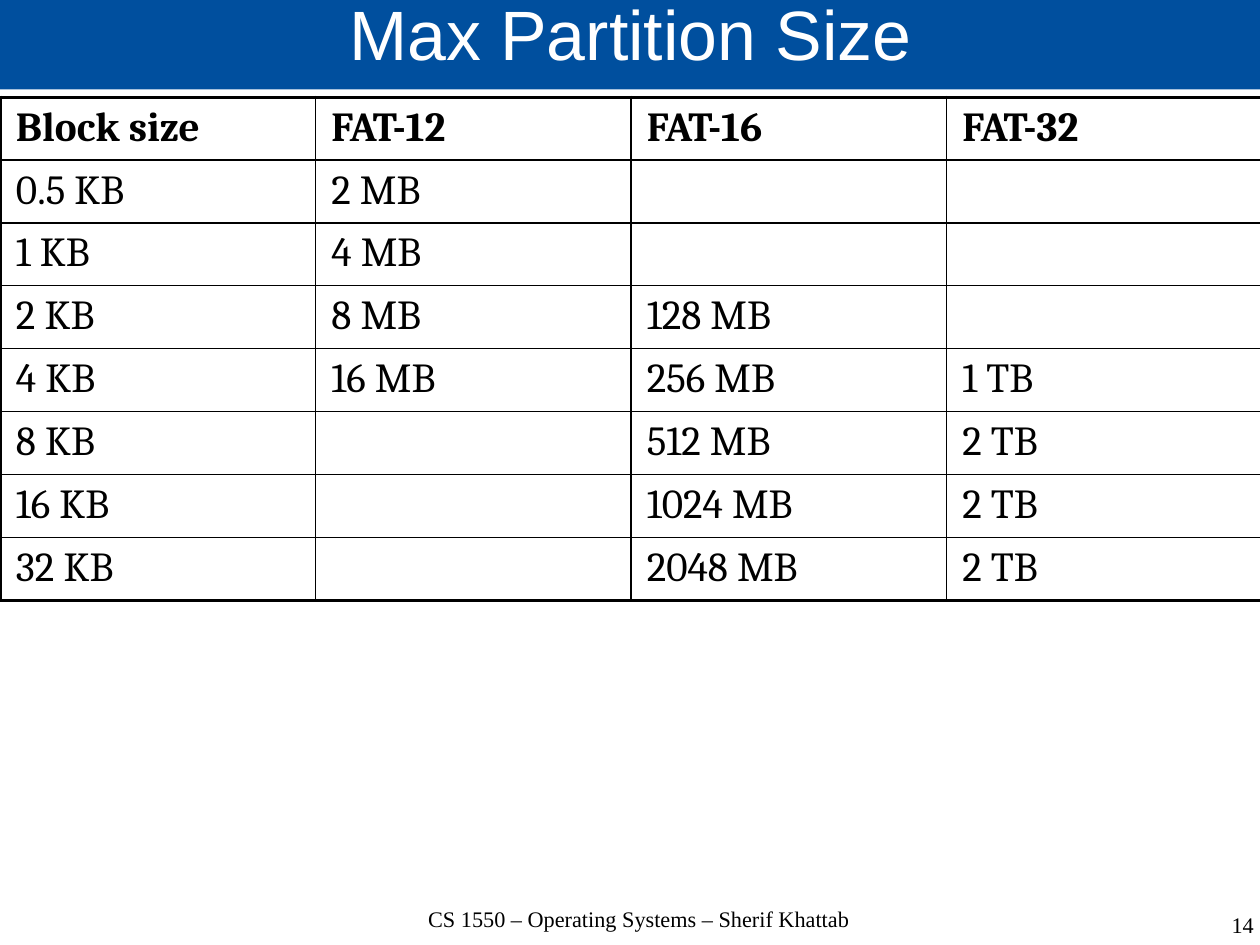
from dataclasses import dataclass

from lxml import etree
from pptx import Presentation
from pptx.dml.color import RGBColor
from pptx.enum.shapes import MSO_SHAPE
from pptx.enum.text import MSO_ANCHOR, PP_ALIGN
from pptx.oxml.ns import qn
from pptx.util import Cm, Inches, Pt

RECTANGLE = MSO_SHAPE.RECTANGLE
TOP, MIDDLE = MSO_ANCHOR.TOP, MSO_ANCHOR.MIDDLE
LEFT, CENTER, RIGHT = PP_ALIGN.LEFT, PP_ALIGN.CENTER, PP_ALIGN.RIGHT

BLUE = RGBColor(0x00, 0x4F, 0x9E)
WHITE = RGBColor(0xFF, 0xFF, 0xFF)
BLACK = RGBColor(0x00, 0x00, 0x00)

PAGE_WIDTH, PAGE_HEIGHT = Cm(28), Cm(21)
TABLE_TOP, COLUMN_WIDTH, ROW_HEIGHT = Inches(0.85), Inches(2.76), Inches(0.55)
OUTER_LINE, INNER_LINE = Pt(2.25), Pt(1)

PARTITION_SIZES = [
    ("Block size", "FAT-12", "FAT-16", "FAT-32"),
    ("0.5 KB", "2 MB", "", ""),
    ("1 KB", "4 MB", "", ""),
    ("2 KB", "8 MB", "128 MB", ""),
    ("4 KB", "16 MB", "256 MB", "1 TB"),
    ("8 KB", "", "512 MB", "2 TB"),
    ("16 KB", "", "1024 MB", "2 TB"),
    ("32 KB", "", "2048 MB", "2 TB"),
]


@dataclass(frozen=True)
class TextStyle:
    font: str
    size: float
    color: RGBColor = BLACK
    align: PP_ALIGN = LEFT
    spacing: float = 1.0
    bold: bool = False


@dataclass(frozen=True)
class Label:
    """A text block; its position and size are shares of the slide."""
    text: str
    left: float
    top: float
    width: float
    height: float
    style: TextStyle
    anchor: MSO_ANCHOR = TOP
    fill: RGBColor | None = None


LABELS = [
    Label("Max Partition Size", 0, -0.0024, 1.0015, 0.097,
          TextStyle("Arial", 44, WHITE, CENTER, 0.69), MIDDLE, BLUE),
    Label("CS 1550 – Operating Systems – Sherif Khattab", 0.2785, 0.96, 0.4572, 0.04,
          TextStyle("Times New Roman", 14, align=CENTER, spacing=0.96)),
    Label("14", 0.7656, 0.966, 0.2295, 0.034,
          TextStyle("Times New Roman", 14, align=RIGHT, spacing=0.96)),
]


def write(para, text: str, style: TextStyle) -> None:
    para.text = text
    para.alignment = style.align
    para.line_spacing = style.spacing
    para.font.name = style.font
    para.font.size = Pt(style.size)
    para.font.bold = style.bold
    para.font.color.rgb = style.color


def add_label(page, label: Label) -> None:
    bounds = (round(PAGE_WIDTH * label.left), round(PAGE_HEIGHT * label.top),
              round(PAGE_WIDTH * label.width), round(PAGE_HEIGHT * label.height))
    if label.fill is None:
        box = page.shapes.add_textbox(*bounds)
    else:
        box = page.shapes.add_shape(RECTANGLE, *bounds)
        box.shadow.inherit = False
        box.fill.solid()
        box.fill.fore_color.rgb = label.fill
        box.line.fill.background()
    frame = box.text_frame
    frame.word_wrap = True
    frame.vertical_anchor = label.anchor
    frame.margin_left = frame.margin_top = frame.margin_right = frame.margin_bottom = 0
    write(frame.paragraphs[0], label.text, label.style)


def add_border(cell, side: str, width: int) -> None:
    properties = cell._tc.get_or_add_tcPr()
    line = etree.SubElement(properties, qn(f"a:ln{side}"), w=str(width))
    fill = etree.SubElement(line, qn("a:solidFill"))
    etree.SubElement(fill, qn("a:srgbClr"), val=str(BLACK))


def add_size_table(page, rows: list[tuple[str, ...]]) -> None:
    row_count, column_count = len(rows), len(rows[0])
    table = page.shapes.add_table(row_count, column_count, 0, TABLE_TOP,
                                  COLUMN_WIDTH * column_count,
                                  ROW_HEIGHT * row_count).table
    table.first_row = table.horz_banding = False
    for row, texts in enumerate(rows):
        style = TextStyle("Cambria", 26, bold=row == 0)
        for column, text in enumerate(texts):
            cell = table.cell(row, column)
            cell.margin_left = cell.margin_right = Inches(0.14)
            cell.margin_top = cell.margin_bottom = Inches(0.06)
            write(cell.text_frame.paragraphs[0], text, style)
            # Heavy lines on the table's edge, thin lines inside
            on_edge = {"L": column == 0, "R": column == column_count - 1,
                       "T": row == 0, "B": row == row_count - 1}
            for side, outer in on_edge.items():
                add_border(cell, side, OUTER_LINE if outer else INNER_LINE)
            cell.fill.background()


def main() -> None:
    deck = Presentation()
    deck.slide_width, deck.slide_height = PAGE_WIDTH, PAGE_HEIGHT
    page = deck.slides.add_slide(deck.slide_layouts[6])

    # Title band, then the table, then the footer
    title, *footer = LABELS
    add_label(page, title)
    add_size_table(page, PARTITION_SIZES)
    for label in footer:
        add_label(page, label)

    deck.save("out.pptx")


if __name__ == "__main__":
    main()
